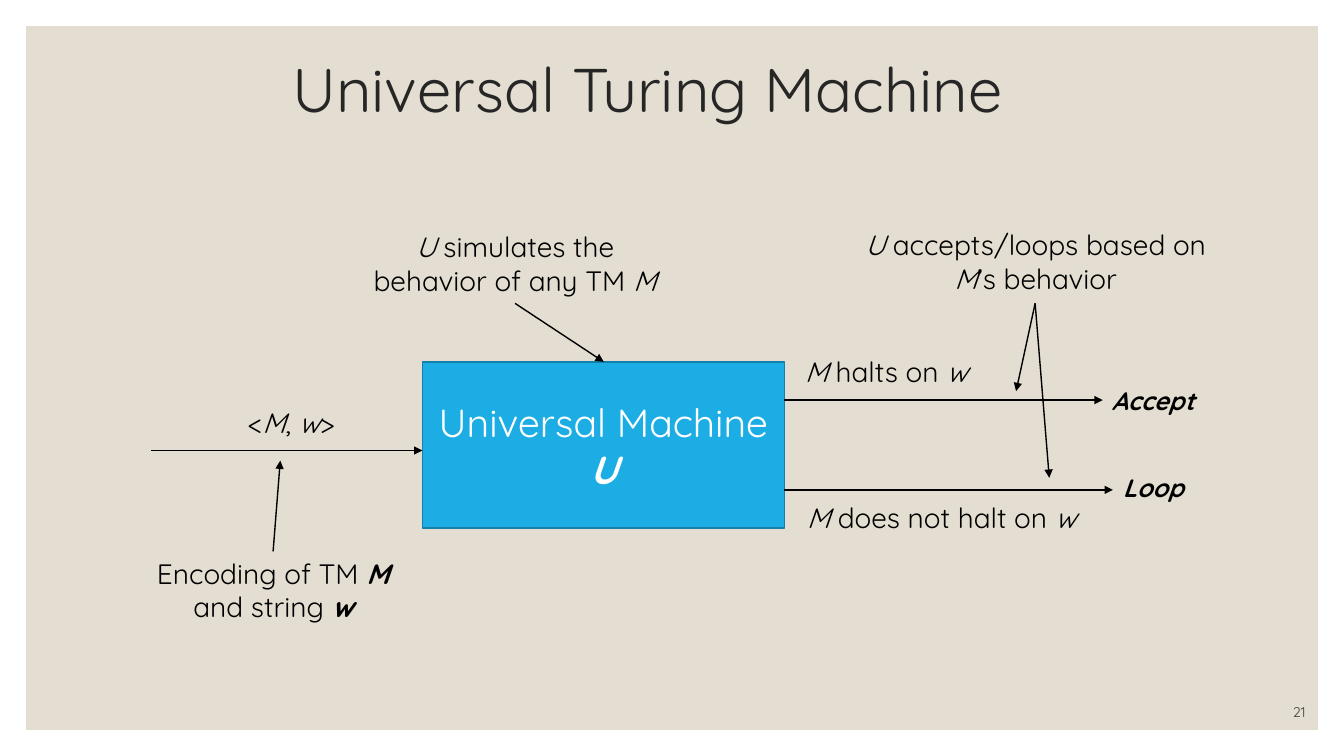
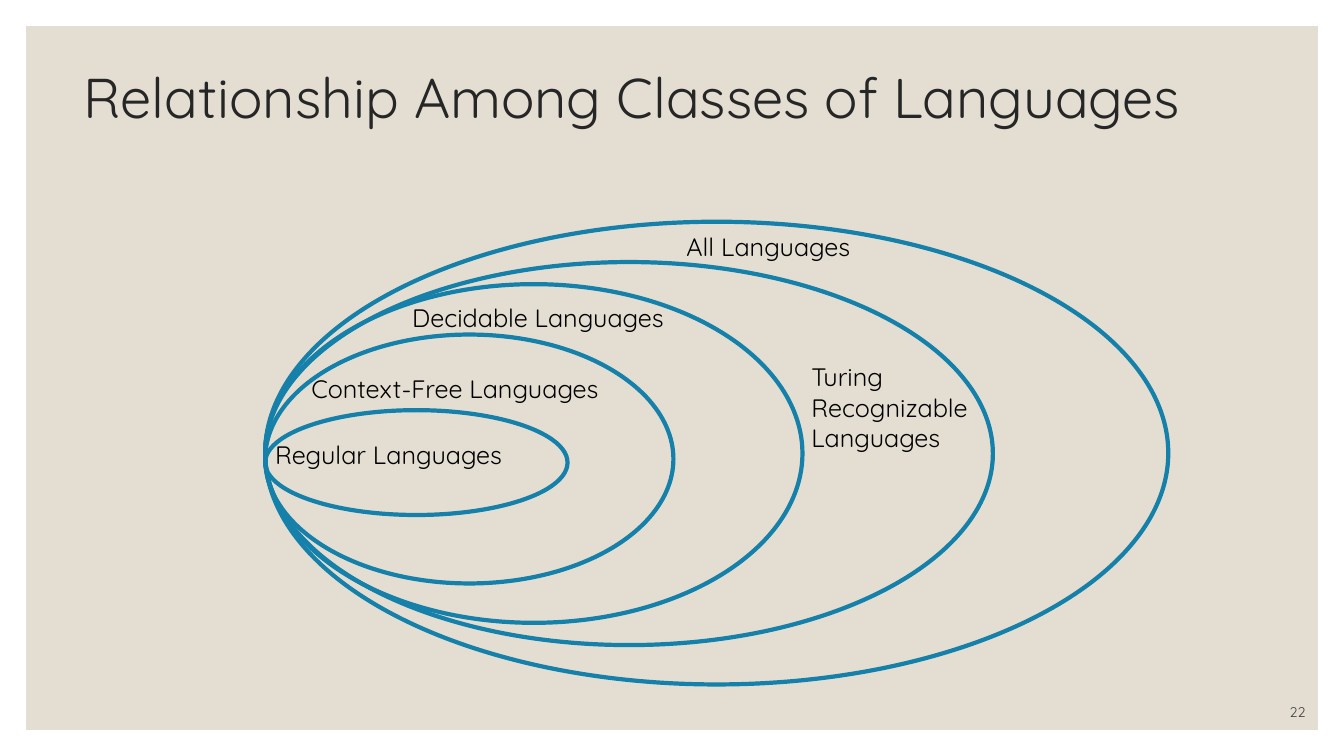
import pptx
import pptx.util
import pptx.dml.color
import pptx.enum.shapes
import pptx.enum.text
import pptx.oxml.ns
import lxml.etree

Pt = pptx.util.Pt
RGB = pptx.dml.color.RGBColor
Shape = pptx.enum.shapes.MSO_SHAPE
Align = pptx.enum.text.PP_ALIGN
Anchor = pptx.enum.text.MSO_ANCHOR
qn = pptx.oxml.ns.qn

SAND = RGB(0xE3, 0xDE, 0xD1)
SKY = RGB(0x1C, 0xAD, 0xE4)
TEAL = RGB(0x15, 0x80, 0xA9)
INK = RGB(0x26, 0x26, 0x26)
GRAY = RGB(0x40, 0x40, 0x40)
BLACK = RGB(0, 0, 0)
WHITE = RGB(0xFF, 0xFF, 0xFF)

FONT = "Quicksand"
WIDE, HIGH = 960, 540
ITALIC = {"italic": True}
STRONG = {"italic": True, "bold": True}


def put(target, values):
    for name, value in values.items():
        setattr(target, name, value)


def write(shape, text, size, color=BLACK, align=Align.LEFT,
          anchor=Anchor.TOP, accent=ITALIC, spacing=None):
    """Fill a shape with text; parts between asterisks get the accent."""
    frame = shape.text_frame
    put(frame, {"word_wrap": True, "vertical_anchor": anchor})
    for row, line in enumerate(text.split("\n")):
        para = frame.add_paragraph() if row else frame.paragraphs[0]
        put(para, {"alignment": align, "line_spacing": spacing})
        for index, part in enumerate(line.split("*")):
            if not part:
                continue
            run = para.add_run()
            run.text = part
            put(run.font, {"name": FONT, "size": Pt(size)})
            run.font.color.rgb = color
            if index % 2:
                put(run.font, accent)


def label(slide, box, text, size, **style):
    area = slide.shapes.add_textbox(*map(Pt, box))
    write(area, text, size, **style)


def draw(slide, kind, box, fill=None, line=None, width=1):
    shape = slide.shapes.add_shape(kind, *map(Pt, box))
    shape.shadow.inherit = False
    if fill is None:
        shape.fill.background()
    else:
        shape.fill.solid()
        shape.fill.fore_color.rgb = fill
    if line is None:
        shape.line.fill.background()
    else:
        shape.line.color.rgb = line
        shape.line.width = Pt(width)
    return shape


def arrow(slide, start, end):
    link = slide.shapes.add_connector(
        pptx.enum.shapes.MSO_CONNECTOR.STRAIGHT, *map(Pt, start + end))
    link.line.color.rgb = BLACK
    link.line.width = Pt(1)
    tail = lxml.etree.SubElement(link.line._get_or_add_ln(), qn("a:tailEnd"))
    tail.set("type", "triangle")
    lxml.etree.SubElement(link._element.spPr, qn("a:effectLst"))


def start(deck, title, box, size, number):
    """Add a slide with its panel, title and page number."""
    slide = deck.slides.add_slide(deck.slide_layouts[6])
    edge = 18.7
    draw(slide, Shape.RECTANGLE,
         (edge, edge, WIDE - 2 * edge, HIGH - 2 * edge), SAND)
    label(slide, box, title, size, color=INK, anchor=Anchor.MIDDLE,
          spacing=0.9)
    label(slide, (824.4, 496.8, 115.2, 21.6), str(number), 10, color=GRAY,
          align=Align.RIGHT, anchor=Anchor.BOTTOM)
    return slide


def machine(slide, left, top):
    """Draw the machine with its input, outcomes and remarks."""
    def at(x, y):
        return left + x, top + y

    right = 462.2
    block = draw(slide, Shape.RECTANGLE, at(203.7, 99.5) + (258.5, 118.8),
                 SKY, TEAL)
    write(block, "Universal Machine *U*", 28, WHITE, Align.CENTER,
          Anchor.MIDDLE, STRONG)

    arrows = [
        ((10, 162.8), (203.7, 162.8)),
        ((right, 126.8), (689.7, 126.8)),
        ((right, 190.9), (696.9, 190.9)),
        ((97.1, 234.8), (102.2, 170)),
        ((269.9, 57.7), (333.3, 99.5)),
        ((641.4, 57.7), (627.8, 120.4)),
        ((641.4, 57.7), (651.5, 182.3)),
    ]
    for tail, head in arrows:
        arrow(slide, at(*tail), at(*head))

    remarks = [
        (64.7, 126.8, 90.7, "<*M*, *w*>", 20, ITALIC),
        (0, 234.8, 194.4, "Encoding of TM *M* and string *w*", 20, STRONG),
        (656.6, 112.4, 138.2, "*Accept*", 18, STRONG),
        (656.6, 175.1, 138.2, "*Loop*", 18, STRONG),
        (465.8, 90.8, 138.2, "*M* halts on *w*", 20, ITALIC),
        (459.3, 195.2, 230.4, "*M* does not halt on *w*", 20, ITALIC),
        (154.7, 1.6, 230.4, "*U* simulates the behavior of any TM *M*",
         20, ITALIC),
        (497.4, 0, 288.7, "*U* accepts/loops based on *M*’s behavior",
         20, ITALIC),
    ]
    for x, y, width, text, size, accent in remarks:
        label(slide, at(x, y) + (width, 30), text, size,
              align=Align.CENTER, accent=accent)


def classes(slide, left, top):
    """Draw nested ellipses that touch at the left, then their names."""
    rings = [
        (0, 645.1, 330.5),
        (28.8, 519.8, 273.6),
        (44.6, 383.8, 241.9),
        (80.6, 291.6, 177.8),
        (134.6, 216, 74.9),
    ]
    for y, width, height in rings:
        draw(slide, Shape.OVAL, (left, top + y, width, height),
             line=TEAL, width=3)

    names = [
        (0, 151.9, "Regular Languages"),
        (25.9, 104.4, "Context-Free Languages"),
        (383, 96.5, "Turing\nRecognizable\nLanguages"),
        (97.9, 54, "Decidable Languages"),
        (293.8, 3.6, "All Languages"),
    ]
    for x, y, name in names:
        label(slide, (left + x, top + y, 262, 28.8), name, 18)


def main():
    deck = pptx.Presentation()
    put(deck, {"slide_width": Pt(WIDE), "slide_height": Pt(HIGH)})
    slide = start(deck, "Universal Turing Machine",
                  (201.6, 32.4, 551.5, 67.7), 44, 21)
    machine(slide, 98, 159)
    slide = start(deck, "Relationship Among Classes of Languages",
                  (52.6, 37.4, 855.4, 69.1), 40, 22)
    classes(slide, 189.4, 158.4)
    deck.save("out.pptx")


if __name__ == "__main__":
    main()
